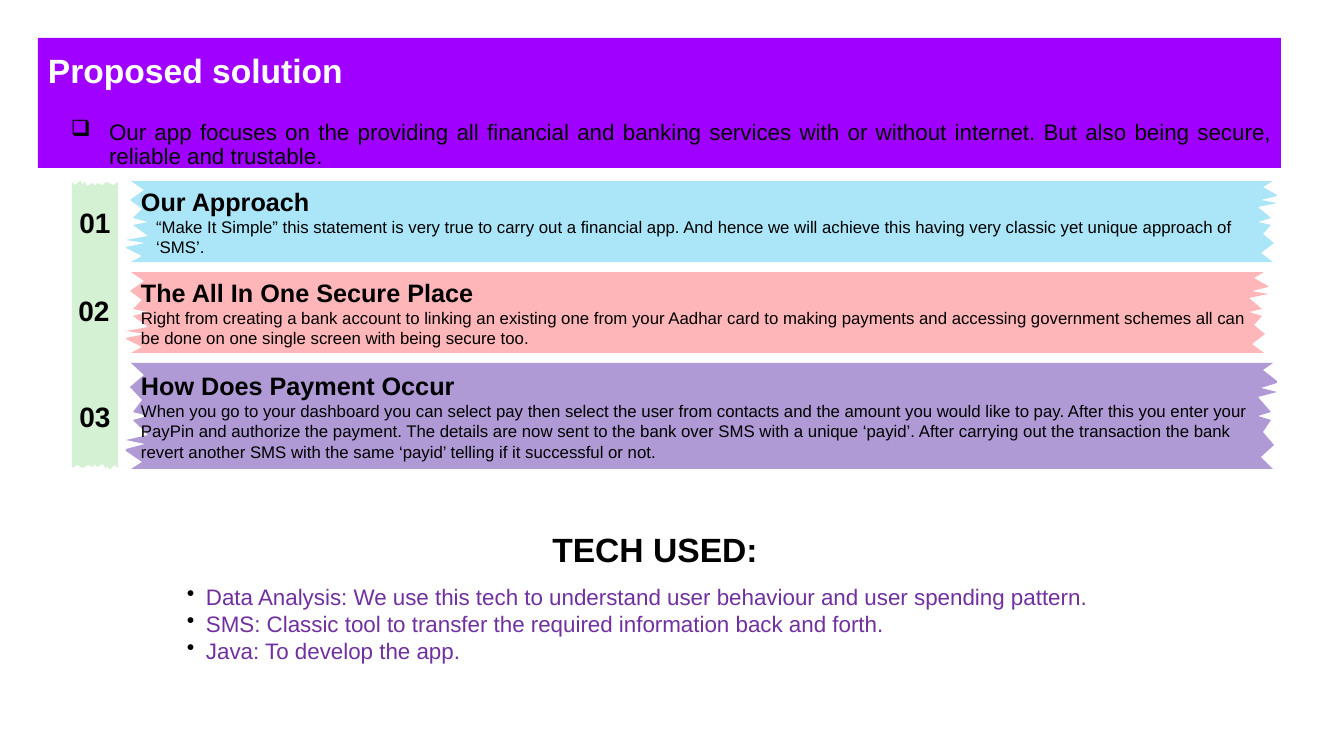
"""Builds the proposed solution slide with torn paper bands."""
from dataclasses import dataclass

from pptx import Presentation
from pptx.dml.color import RGBColor as Rgb
from pptx.enum.shapes import MSO_SHAPE as Kind
from pptx.enum.text import MSO_ANCHOR as Anchor, PP_ALIGN as Align
from pptx.oxml.ns import qn
from pptx.util import Pt

SCALE = 914400 / 100.8


@dataclass(frozen=True)
class Theme:
    """Font, colours and type sizes of the slide."""
    font: str = "Arial"
    ink: str = "000000"
    white: str = "FFFFFF"
    title: str = "A000FF"
    strip: str = "D4F1D3"
    blue: str = "ABE5F8"
    pink: str = "FFB6B9"
    mauve: str = "AF9AD5"
    tech: str = "7030A0"
    big: int = 24
    num: int = 20
    head: int = 18
    body: int = 16
    small: int = 12


LOOK = Theme()

TEAR = [(0, 23), (11, 82), (23, 18), (35, 73), (46, 32), (50, 100), (54, 32),
        (68, 100), (73, 0), (76, 86), (81, 0), (83, 0), (93, 73), (100, 23)]

BANDS = [
    (181, 1151, 81, LOOK.blue, 15, "Our Approach",
     "“Make It Simple” this statement is very true to carry out a financial "
     "app. And hence we will achieve this having very classic yet unique "
     "approach of ‘SMS’."),
    (272, 1142, 81, LOOK.pink, 0, "The All In One Secure Place",
     "Right from creating a bank account to linking an existing one from your "
     "Aadhar card to making payments and accessing government schemes all can "
     "be done on one single screen with being secure too."),
    (363, 1151, 106, LOOK.mauve, 0, "How Does Payment Occur",
     "When you go to your dashboard you can select pay then select the user "
     "from contacts and the amount you would like to pay. After this you enter "
     "your PayPin and authorize the payment. The details are now sent to the "
     "bank over SMS with a unique ‘payid’. After carrying out the transaction "
     "the bank revert another SMS with the same ‘payid’ telling if it "
     "successful or not."),
]

MARKS = [("01", 72, 194), ("02", 71, 282), ("03", 72, 388)]

INTRO = ("Our app focuses on the providing all financial and banking services "
         "with or without internet. But also being secure, reliable and "
         "trustable.")

TECH = [
    "Data Analysis: We use this tech to understand user behaviour and user "
    "spending pattern.",
    "SMS: Classic tool to transfer the required information back and forth.",
    "Java: To develop the app.",
]


def px(size):
    """Turn a length in pixels into EMU."""
    return round(size * SCALE)


def paint(shape, color):
    """Give a shape a flat fill with no line or shadow."""
    shape.shadow.inherit = False
    shape.fill.solid()
    shape.fill.fore_color.rgb = Rgb.from_string(color)
    shape.line.fill.background()


def frame(shape, pad, anchor=Anchor.MIDDLE):
    """Set up the text frame of a shape with padding across and down."""
    text = shape.text_frame
    text.word_wrap = True
    text.vertical_anchor = anchor
    text.margin_left = text.margin_right = px(pad[0])
    text.margin_top = text.margin_bottom = px(pad[1])
    return text


def write(text, words, size, color=LOOK.ink, bold=False, align=Align.LEFT):
    """Add one paragraph, using the empty first one if it is free."""
    para = text.paragraphs[0]
    if para.runs:
        para = text.add_paragraph()
    para.add_run().text = words
    para.alignment = align
    font = para.font
    font.name, font.size, font.bold = LOOK.font, Pt(size), bold
    font.color.rgb = Rgb.from_string(color)
    return para


def indent(para, left, first=0):
    """Set the left margin and first line indent of a paragraph."""
    props = para._p.get_or_add_pPr()
    props.set("marL", str(px(left)))
    props.set("indent", str(px(first)))
    return props


def bullet(para, mark, left, first):
    """Give a paragraph a hanging bullet in the ink colour."""
    props = indent(para, left, first)
    tint = props.makeelement(qn("a:buClr"), {})
    tint.append(tint.makeelement(qn("a:srgbClr"), {"val": LOOK.ink}))
    sign = props.makeelement(qn("a:buChar"), {"char": mark})
    spot = props.find(qn("a:defRPr"))
    for part in (tint, sign):
        spot.addprevious(part)


def box(slide, left, top, width, height, pad, anchor=Anchor.MIDDLE):
    """Add a text box and return its text frame."""
    shape = slide.shapes.add_textbox(px(left), px(top), px(width), px(height))
    return frame(shape, pad, anchor)


def torn(slide, left, top, points, color):
    """Draw a closed outline from points relative to its corner."""
    spots = [(left + x, top + y) for x, y in points]
    pen = slide.shapes.build_freeform(*spots[0], scale=SCALE)
    pen.add_line_segments(spots[1:], close=True)
    shape = pen.convert_to_shape()
    paint(shape, color)
    return shape


def edge(length, depth):
    """Return steps along a torn edge with the depth of each notch."""
    return [(length * step / 100, depth * cut / 100) for step, cut in TEAR]


def band(slide, top, wide, high, color, inset, head, body):
    """Draw a band torn at both ends with its heading and text."""
    points = [(cut, step) for step, cut in edge(high, 22)]
    points += [(wide - cut, high - step) for step, cut in edge(high, 19)]
    text = frame(torn(slide, 126, top, points, color), (15, 10))
    write(text, head, LOOK.head, bold=True)
    indent(write(text, body, LOOK.small), inset)


def strip(slide, left, top, wide, high):
    """Draw the upright strip torn at its top and bottom."""
    teeth = edge(wide, 5)
    points = [(step, high - cut) for step, cut in teeth]
    points += [(wide - step, cut) for step, cut in teeth]
    torn(slide, left, top, points, LOOK.strip)


def title(slide):
    """Draw the title bar."""
    shape = slide.shapes.add_shape(Kind.RECTANGLE, px(38), px(38),
                                   px(1243), px(130))
    paint(shape, LOOK.title)
    text = frame(shape, (10, 12), Anchor.TOP)
    write(text, "Proposed solution", LOOK.big, LOOK.white, True)


def main():
    """Build the slide and save it."""
    deck = Presentation()
    deck.slide_width, deck.slide_height = px(1344), px(756)
    slide = deck.slides.add_slide(deck.slide_layouts[6])
    title(slide)
    intro = write(box(slide, 61, 116, 1221, 66, (10, 5), Anchor.TOP), INTRO,
                  LOOK.body, align=Align.JUSTIFY)
    intro.line_spacing = 0.9
    bullet(intro, "❑", 38, -38)
    for item in BANDS:
        band(slide, *item)
    strip(slide, 72, 181, 46, 288)
    for mark, left, top in MARKS:
        write(box(slide, left, top, 46, 56, (0, 10)), mark, LOOK.num,
              bold=True, align=Align.CENTER)
    tech = box(slide, 162, 573, 1018, 100, (10, 10), Anchor.TOP)
    for line in TECH:
        bullet(write(tech, line, LOOK.body, LOOK.tech), "•", 34, -19)
    write(box(slide, 339, 517, 632, 64, (10, 10)), "TECH USED:", LOOK.big,
          bold=True, align=Align.CENTER)
    deck.save("out.pptx")


if __name__ == "__main__":
    main()
